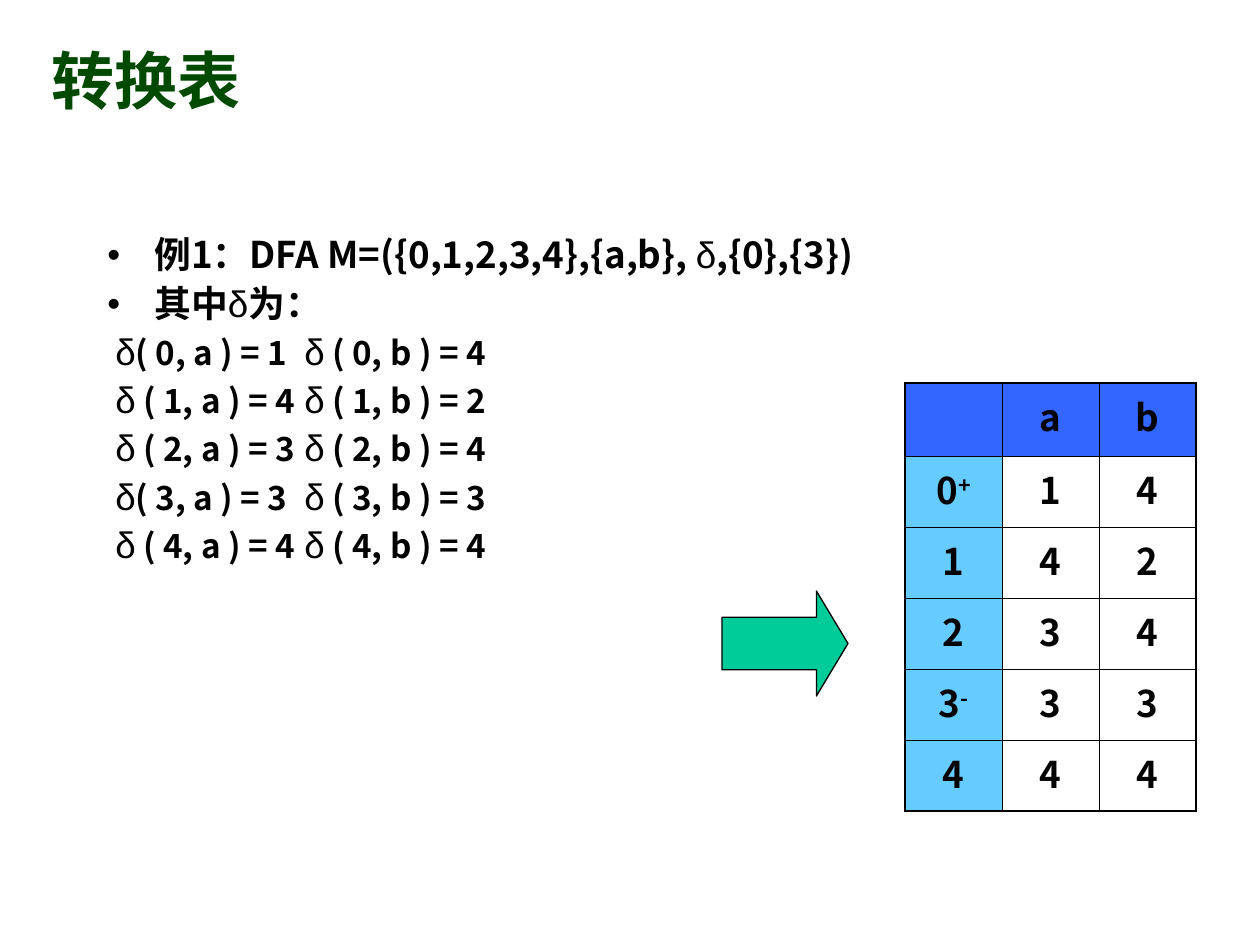
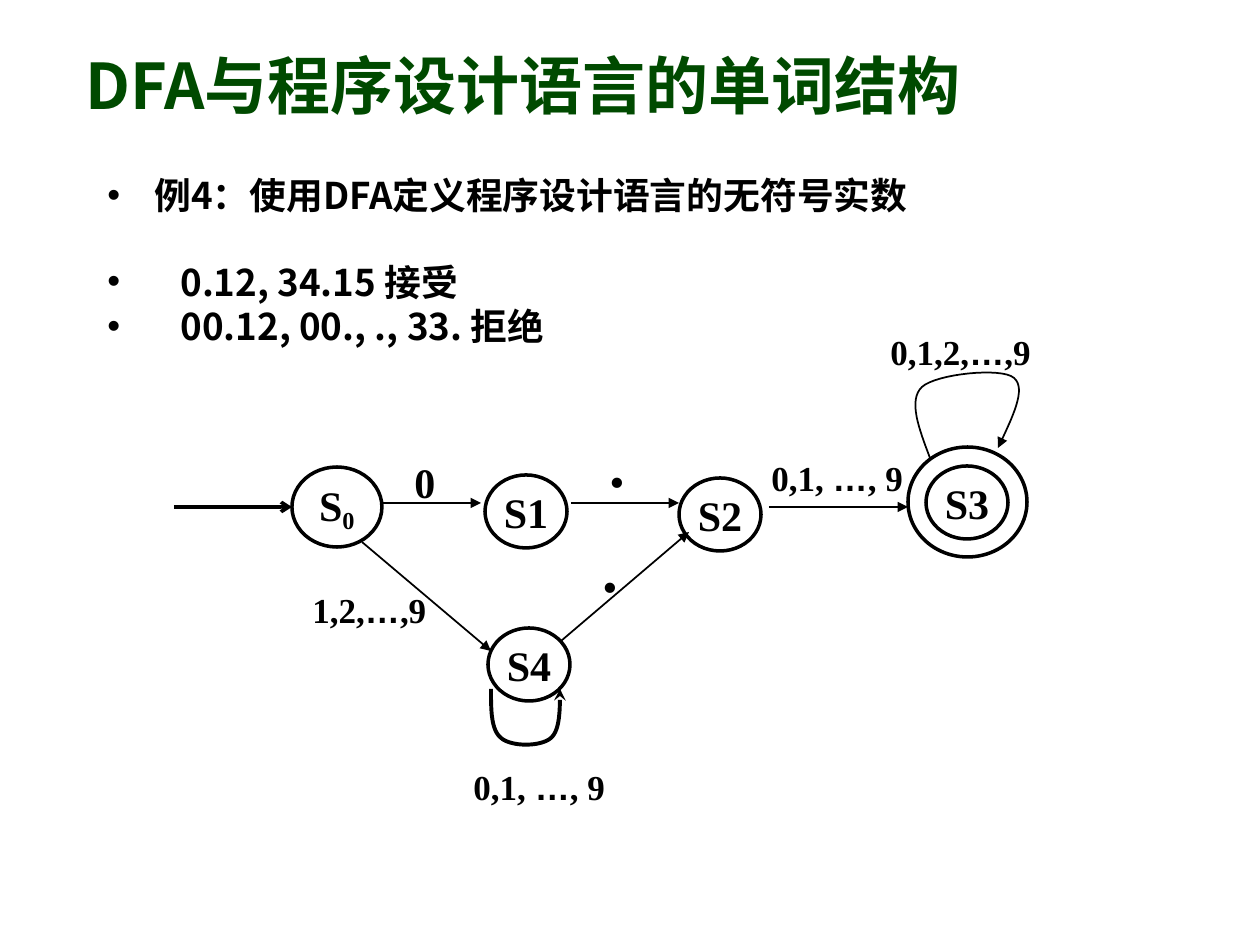
from typing import NamedTuple

from lxml import etree
from pptx import Presentation
from pptx.dml.color import RGBColor
from pptx.enum.shapes import MSO_CONNECTOR, MSO_SHAPE
from pptx.enum.text import MSO_ANCHOR, PP_ALIGN
from pptx.oxml.ns import qn
from pptx.util import Emu, Pt

PX = 914400 / 126
BLACK = RGBColor(0x00, 0x00, 0x00)
WHITE = RGBColor(0xFF, 0xFF, 0xFF)
TITLE_GREEN = RGBColor(0x00, 0x4A, 0x00)
ARROW_GREEN = RGBColor(0x00, 0xCC, 0x99)
HEADER_BLUE = RGBColor(0x33, 0x66, 0xFF)
STATE_BLUE = RGBColor(0x66, 0xCC, 0xFF)

NOTO_SC = "Noto Sans CJK SC"
NOTO_KR = "Noto Sans CJK KR"
ARIAL = "Arial"
TIMES = "Times New Roman"

ELLIPSE = MSO_SHAPE.OVAL
RIGHT_ARROW = MSO_SHAPE.RIGHT_ARROW
STRAIGHT = MSO_CONNECTOR.STRAIGHT
CENTER = PP_ALIGN.CENTER
TOP, MIDDLE = MSO_ANCHOR.TOP, MSO_ANCHOR.MIDDLE

BULLET_INDENT = 47
HAIRLINE, FRAME = 0.45, 1.08


class Box(NamedTuple):
    left: int
    top: int
    width: int
    height: int


class Run(NamedTuple):
    text: str
    face: str
    size: int
    bold: bool = True
    baseline: int = 0
    color: RGBColor = BLACK


class State(NamedTuple):
    box: Box
    name: str
    subscript: str = ""


class Label(NamedTuple):
    box: Box
    before: str
    after: str = ""
    size: int = 20


class Transition(NamedTuple):
    start: tuple[int, int]
    end: tuple[int, int]
    width: float = 1
    head: str = "triangle"


class Loop(NamedTuple):
    start: tuple[int, int]
    curves: list[list[tuple[int, int]]]
    width: float
    head: str


def px(length: float) -> Emu:
    return Emu(round(length * PX))


def emu(box: Box) -> list[Emu]:
    return [px(length) for length in box]


def add_runs(paragraph, runs: list[Run]) -> None:
    for item in runs:
        run = paragraph.add_run()
        run.text = item.text
        font = run.font
        font.name, font.size, font.bold = item.face, Pt(item.size), item.bold
        font.color.rgb = item.color
        properties = run._r.get_or_add_rPr()
        if item.baseline:
            properties.set("baseline", str(item.baseline * 1000))
        etree.SubElement(properties, qn("a:ea"), typeface=item.face)


def add_bullet(paragraph, indent: int) -> None:
    properties = paragraph._p.get_or_add_pPr()
    properties.set("marL", str(px(indent)))
    properties.set("indent", str(-px(indent)))
    color = etree.SubElement(properties, qn("a:buClr"))
    etree.SubElement(color, qn("a:srgbClr"), val=str(BLACK))
    etree.SubElement(properties, qn("a:buFont"), typeface=ARIAL)
    etree.SubElement(properties, qn("a:buChar"), char="•")


def add_column_tab(paragraph, margin: int, tab: int) -> None:
    properties = paragraph._p.get_or_add_pPr()
    properties.set("marL", str(px(margin)))
    properties.set("indent", "0")
    tabs = etree.SubElement(properties, qn("a:tabLst"))
    etree.SubElement(tabs, qn("a:tab"), pos=str(px(tab)), algn="l")


def add_text_frame(slide, box: Box, anchor=TOP):
    frame = slide.shapes.add_textbox(*emu(box)).text_frame
    frame.word_wrap = True
    frame.vertical_anchor = anchor
    return frame


def next_paragraph(frame, line_spacing: float, space_before: float):
    """Return the empty first paragraph, or a new one with space before it."""
    first = frame.paragraphs[0]
    paragraph = first
    if first.runs:
        paragraph = frame.add_paragraph()
        paragraph.space_before = Pt(space_before)
    paragraph.line_spacing = line_spacing
    return paragraph


def add_title(slide, box: Box, text: str, face: str) -> None:
    frame = add_text_frame(slide, box, MIDDLE)
    add_runs(frame.paragraphs[0], [Run(text, face, 36, color=TITLE_GREEN)])


def add_arrowhead(line, head: str) -> None:
    etree.SubElement(line._get_or_add_ln(), qn("a:tailEnd"), type=head)


def style_line(line, width: float) -> None:
    line.color.rgb = BLACK
    line.width = Pt(width)


def add_ellipse(slide, box: Box):
    ellipse = slide.shapes.add_shape(ELLIPSE, *emu(box))
    ellipse.shadow.inherit = False
    ellipse.fill.background()
    style_line(ellipse.line, 2)
    return ellipse


def add_state(slide, state: State) -> None:
    frame = add_ellipse(slide, state.box).text_frame
    frame.word_wrap = False
    frame.vertical_anchor = MIDDLE
    paragraph = frame.paragraphs[0]
    paragraph.alignment = CENTER
    runs = [Run(state.name, TIMES, 24)]
    if state.subscript:
        runs.append(Run(state.subscript, TIMES, 24, baseline=-18))
    add_runs(paragraph, runs)


def add_label(slide, label: Label) -> None:
    """Write an edge label; a second part follows an ellipsis."""
    runs = [Run(label.before, TIMES, label.size)]
    if label.after:
        runs += [Run("…", ARIAL, label.size), Run(label.after, TIMES, label.size)]
    add_runs(add_text_frame(slide, label.box).paragraphs[0], runs)


def add_transition(slide, transition: Transition) -> None:
    ends = [px(length) for length in transition.start + transition.end]
    connector = slide.shapes.add_connector(STRAIGHT, *ends)
    style_line(connector.line, transition.width)
    add_arrowhead(connector.line, transition.head)
    etree.SubElement(connector._element.spPr, qn("a:effectLst"))


def bezier(points: list[tuple[int, int]], t: float) -> tuple[Emu, Emu]:
    weights = ((1 - t) ** 3, 3 * t * (1 - t) ** 2, 3 * t * t * (1 - t), t ** 3)
    x, y = (sum(w * v for w, v in zip(weights, axis)) for axis in zip(*points))
    return px(x), px(y)


def add_loop(slide, loop: Loop, steps: int = 16) -> None:
    outline = []
    start = loop.start
    for curve in loop.curves:
        outline += [bezier([start, *curve], i / steps) for i in range(1, steps + 1)]
        start = curve[-1]
    builder = slide.shapes.build_freeform(px(loop.start[0]), px(loop.start[1]))
    builder.add_line_segments(outline, close=False)
    shape = builder.convert_to_shape()
    shape.shadow.inherit = False
    shape.fill.background()
    style_line(shape.line, loop.width)
    add_arrowhead(shape.line, loop.head)


def add_borders(cell, widths: dict[str, float]) -> None:
    properties = cell._tc.get_or_add_tcPr()
    for side, width in widths.items():
        line = etree.SubElement(properties, qn(f"a:ln{side}"), w=str(Pt(width)))
        fill = etree.SubElement(line, qn("a:solidFill"))
        etree.SubElement(fill, qn("a:srgbClr"), val=str(BLACK))


def add_transition_table(slide, rows: list[tuple[str, ...]]) -> None:
    """Draw the table; a + or - after a state's number is raised."""
    last_row, last_column = len(rows) - 1, len(rows[0]) - 1
    table = slide.shapes.add_table(len(rows), len(rows[0]), *emu(Box(905, 383, 291, 428))).table
    table.first_row = table.horz_banding = False
    for column in table.columns:
        column.width = px(97)
    for r, row in enumerate(rows):
        table.rows[r].height = px(71 if r else 73)
        for c, text in enumerate(row):
            cell = table.cell(r, c)
            outer = {"L": c == 0, "R": c == last_column, "T": r == 0, "B": r == last_row}
            add_borders(cell, {side: FRAME if edge else HAIRLINE for side, edge in outer.items()})
            cell.fill.solid()
            cell.fill.fore_color.rgb = HEADER_BLUE if r == 0 else WHITE if c else STATE_BLUE
            if text:
                paragraph = cell.text_frame.paragraphs[0]
                paragraph.alignment = CENTER
                runs = [Run(text[0], NOTO_SC, 21)]
                if text[1:]:
                    runs.append(Run(text[1:], NOTO_SC, 21, baseline=30))
                add_runs(paragraph, runs)


def build_table_slide(slide) -> None:
    add_title(slide, Box(39, 0, 591, 158), "转换表", NOTO_SC)
    frame = add_text_frame(slide, Box(95, 231, 1071, 609))
    delta = Run("δ", ARIAL, 21, bold=False)
    for before, after in (("例1：DFA M=({0,1,2,3,4},{a,b}, ", ",{0},{3})"), ("其中", "为：")):
        paragraph = next_paragraph(frame, 0.9, 5.2)
        add_bullet(paragraph, BULLET_INDENT)
        add_runs(paragraph, [Run(before, NOTO_SC, 21), delta, Run(after, NOTO_SC, 21)])
    for on_a, on_b in (
        ("( 0, a ) = 1", " ( 0, b ) = 4"),
        (" ( 1, a ) = 4", " ( 1, b ) = 2"),
        (" ( 2, a ) = 3", " ( 2, b ) = 4"),
        ("( 3, a ) = 3", " ( 3, b ) = 3"),
        (" ( 4, a ) = 4", " ( 4, b ) = 4"),
    ):
        paragraph = next_paragraph(frame, 0.9, 4.8)
        add_column_tab(paragraph, 8, 214)
        add_runs(paragraph, [delta, Run(on_a + "\t", NOTO_SC, 19), delta, Run(on_b, NOTO_SC, 19)])

    arrow = slide.shapes.add_shape(RIGHT_ARROW, *emu(Box(722, 591, 126, 105)))
    arrow.adjustments[0], arrow.adjustments[1] = 0.5, 0.3
    arrow.shadow.inherit = False
    arrow.fill.solid()
    arrow.fill.fore_color.rgb = ARROW_GREEN
    style_line(arrow.line, 0.75)
    add_transition_table(slide, [
        ("", "a", "b"), ("0+", "1", "4"), ("1", "4", "2"),
        ("2", "3", "4"), ("3-", "3", "3"), ("4", "4", "4"),
    ])


def build_automaton_slide(slide) -> None:
    add_title(slide, Box(73, 21, 1070, 126), "DFA与程序设计语言的单词结构", NOTO_KR)
    frame = add_text_frame(slide, Box(95, 175, 1085, 159))
    for text, indent, space_before in (
        ("例4：使用DFA定义程序设计语言的无符号实数", BULLET_INDENT, 0),
        ("0.12, 34.15 接受", 73, 29.5),
        ("00.12, 00., ., 33. 拒绝", 73, 5.2),
    ):
        paragraph = next_paragraph(frame, 0.8, space_before)
        add_bullet(paragraph, indent)
        add_runs(paragraph, [Run(text, NOTO_KR, 21)])

    for state in (
        State(Box(292, 467, 90, 80), "S", "0"),
        State(Box(485, 475, 82, 73), "S1"),
        State(Box(679, 478, 82, 73), "S2"),
        State(Box(926, 466, 82, 73), "S3"),
        State(Box(488, 628, 82, 73), "S4"),
    ):
        add_state(slide, state)
    add_ellipse(slide, Box(908, 447, 119, 110))

    for transition in (
        Transition((174, 507), (292, 507), 2, "arrow"),
        Transition((382, 503), (481, 503)),
        Transition((571, 503), (679, 503)),
        Transition((769, 507), (908, 507)),
        Transition((362, 542), (491, 651)),
        Transition((561, 641), (689, 532)),
    ):
        add_transition(slide, transition)
    for loop in (
        Loop((930, 458), [[(919, 429), (908, 400), (922, 387)],
                          [(936, 374), (1002, 367), (1014, 378)],
                          [(1027, 389), (1012, 418), (998, 448)]], 1, "triangle"),
        Loop((491, 689), [[(491, 710), (491, 730), (501, 738)],
                          [(511, 747), (541, 747), (551, 738)],
                          [(560, 730), (560, 710), (560, 689)]], 2.25, "stealth"),
    ):
        add_loop(slide, loop)
    for label in (
        Label(Box(759, 450, 159, 55), "0,1, ", ", 9"),
        Label(Box(878, 324, 169, 55), "0,1,2,", ",9"),
        Label(Box(300, 582, 151, 55), "1,2,", ",9"),
        Label(Box(461, 759, 159, 55), "0,1, ", ", 9"),
        Label(Box(402, 450, 59, 63), "0", size=24),
        Label(Box(597, 418, 79, 88), ".", size=36),
        Label(Box(590, 523, 79, 88), ".", size=36),
    ):
        add_label(slide, label)


def main() -> None:
    deck = Presentation()
    deck.slide_width, deck.slide_height = px(1260), px(945)
    blank = deck.slide_layouts[6]
    for build in (build_table_slide, build_automaton_slide):
        build(deck.slides.add_slide(blank))
    deck.save("out.pptx")


if __name__ == "__main__":
    main()
